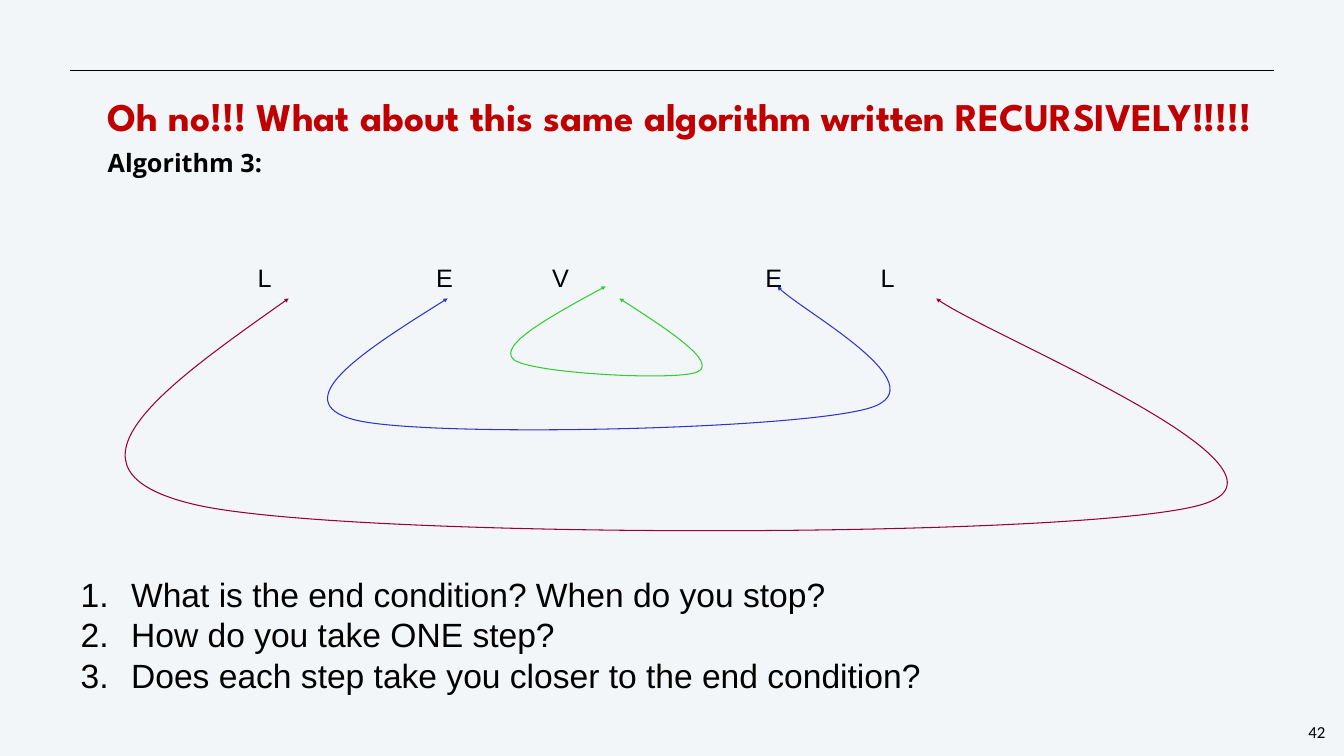
"""Build the slide that asks how the palindrome check is written recursively."""
from lxml.etree import SubElement
from pptx import Presentation
from pptx.dml.color import RGBColor
from pptx.enum.shapes import MSO_CONNECTOR
from pptx.enum.text import MSO_ANCHOR, PP_ALIGN
from pptx.oxml.ns import qn
from pptx.util import Cm, Pt

BACKGROUND = RGBColor(0xF3, 0xF6, 0xF9)
BLACK = RGBColor(0x00, 0x00, 0x00)
RED = RGBColor(0xC0, 0x00, 0x00)
MAROON = RGBColor(0x99, 0x00, 0x33)
BLUE = RGBColor(0x33, 0x33, 0xCC)
GREEN = RGBColor(0x33, 0xCC, 0x33)

TITLE = "Oh no!!! What about this same algorithm written RECURSIVELY!!!!!"
SUBTITLE = "Algorithm 3:"
PAGE = "42"
LETTERS = [("L", 6.2), ("E", 15.2), ("V", 21.05), ("E", 31.8), ("L", 37.6)]
QUESTIONS = [
    "What is the end condition? When do you stop?",
    "How do you take ONE step?",
    "Does each step take you closer to the end condition?",
]
LOOPS = [
    (MAROON, [(14.55, 15.04), (8.41, 19.38), (2.24, 23.7), (9.91, 25.45),
              (17.55, 27.18), (54.31, 27.18), (60.5, 25.45),
              (66.73, 23.7), (49.4, 16.76), (47.19, 15.04)]),
    (BLUE, [(22.56, 15.04), (18.39, 17.65), (14.35, 20.24), (17.88, 21.16),
            (21.44, 22.07), (40.31, 21.67), (43.87, 20.55),
            (47.42, 19.43), (39.98, 15.44), (39.19, 14.43)]),
    (GREEN, [(30.53, 14.43), (27.81, 15.9), (25.1, 17.4), (25.88, 18.11),
             (26.64, 18.82), (34.32, 19.23), (35.2, 18.72),
             (36.09, 18.21), (33.66, 16.61), (31.22, 15.04)]),
]


def add_text(s, box, lines, size, font, color=BLACK, bold=False, spacing=None,
             inset=(0.15, 0.15), anchor=MSO_ANCHOR.TOP, align=PP_ALIGN.LEFT, wrap=True):
    tf = s.shapes.add_textbox(*map(Cm, box)).text_frame
    tf.word_wrap = wrap
    tf.vertical_anchor = anchor
    tf.margin_left = tf.margin_right = Cm(inset[0])
    tf.margin_top = tf.margin_bottom = Cm(inset[1])
    for i, line in enumerate(lines):
        p = tf.add_paragraph() if i else tf.paragraphs[0]
        p.alignment = align
        if spacing:
            p.line_spacing = Pt(spacing)
        r = p.add_run()
        r.text = line
        r.font.size, r.font.name, r.font.bold = Pt(size), font, bold
        r.font.color.rgb = color
    return tf


def add_loop(s, color, points):
    (x, y), *rest = [(Cm(a), Cm(b)) for a, b in points]
    builder = s.shapes.build_freeform(x, y)
    builder.add_line_segments(rest, close=False)
    sp = builder.convert_to_shape()
    sp.shadow.inherit = False
    sp.fill.background()
    sp.line.color.rgb = color
    sp.line.width = Pt(1.5)
    ln = sp.line._get_or_add_ln()
    for end in ("a:headEnd", "a:tailEnd"):
        SubElement(ln, qn(end), type="triangle")
    outline = next(sp._element.iter(qn("a:path")))
    segments = outline.findall(qn("a:lnTo"))
    for i in range(0, len(segments), 3):
        curve = SubElement(outline, qn("a:cubicBezTo"))
        for segment in segments[i:i + 3]:
            curve.append(segment[0])
            outline.remove(segment)


def main():
    prs = Presentation()
    prs.slide_width, prs.slide_height = Cm(67.74), Cm(38.1)
    s = prs.slides.add_slide(prs.slide_layouts[6])
    s.background.fill.solid()
    s.background.fill.fore_color.rgb = BACKGROUND

    rule = s.shapes.add_connector(MSO_CONNECTOR.STRAIGHT, Cm(3.53), Cm(3.56), Cm(64.21), Cm(3.56))
    rule.line.color.rgb = BLACK
    rule.line.width = Pt(1)
    SubElement(rule._element.spPr, qn("a:effectLst"))

    add_text(s, (5.28, 3.35, 58.42, 5.59), [TITLE], 56, "League Spartan", RED, True, 50,
             anchor=MSO_ANCHOR.MIDDLE)
    add_text(s, (5.28, 7.26, 58.42, 2.01), [SUBTITLE], 36, "Open Sans", bold=True, spacing=43)
    add_text(s, (65.84, 36.3, 1.07, 1.22), [PAGE], 24, "Calibri", spacing=28,
             inset=(0.1, 0.1), align=PP_ALIGN.CENTER, wrap=False)

    word = "".join("\t" + letter for letter, _ in LETTERS)
    tf = add_text(s, (6.27, 12.98, 39.75, 2), [word], 36, "Arial", inset=(0.51, 0.25))
    tabs = SubElement(tf.paragraphs[0]._p.get_or_add_pPr(), qn("a:tabLst"))
    for _, stop in LETTERS:
        SubElement(tabs, qn("a:tab"), pos=str(Cm(stop)), algn="l")

    for color, points in LOOPS:
        add_loop(s, color, points)

    tf = add_text(s, (3.56, 28.63, 43.87, 6.68), QUESTIONS, 48, "Arial",
                  inset=(0.51, 0.25), anchor=MSO_ANCHOR.MIDDLE)
    for p in tf.paragraphs:
        pPr = p._p.get_or_add_pPr()
        pPr.set("marL", str(Cm(2.54)))
        pPr.set("indent", str(-Cm(2.54)))
        SubElement(pPr, qn("a:buFont"), typeface="+mj-lt")
        SubElement(pPr, qn("a:buAutoNum"), type="arabicPeriod")

    prs.save("out.pptx")


if __name__ == "__main__":
    main()
